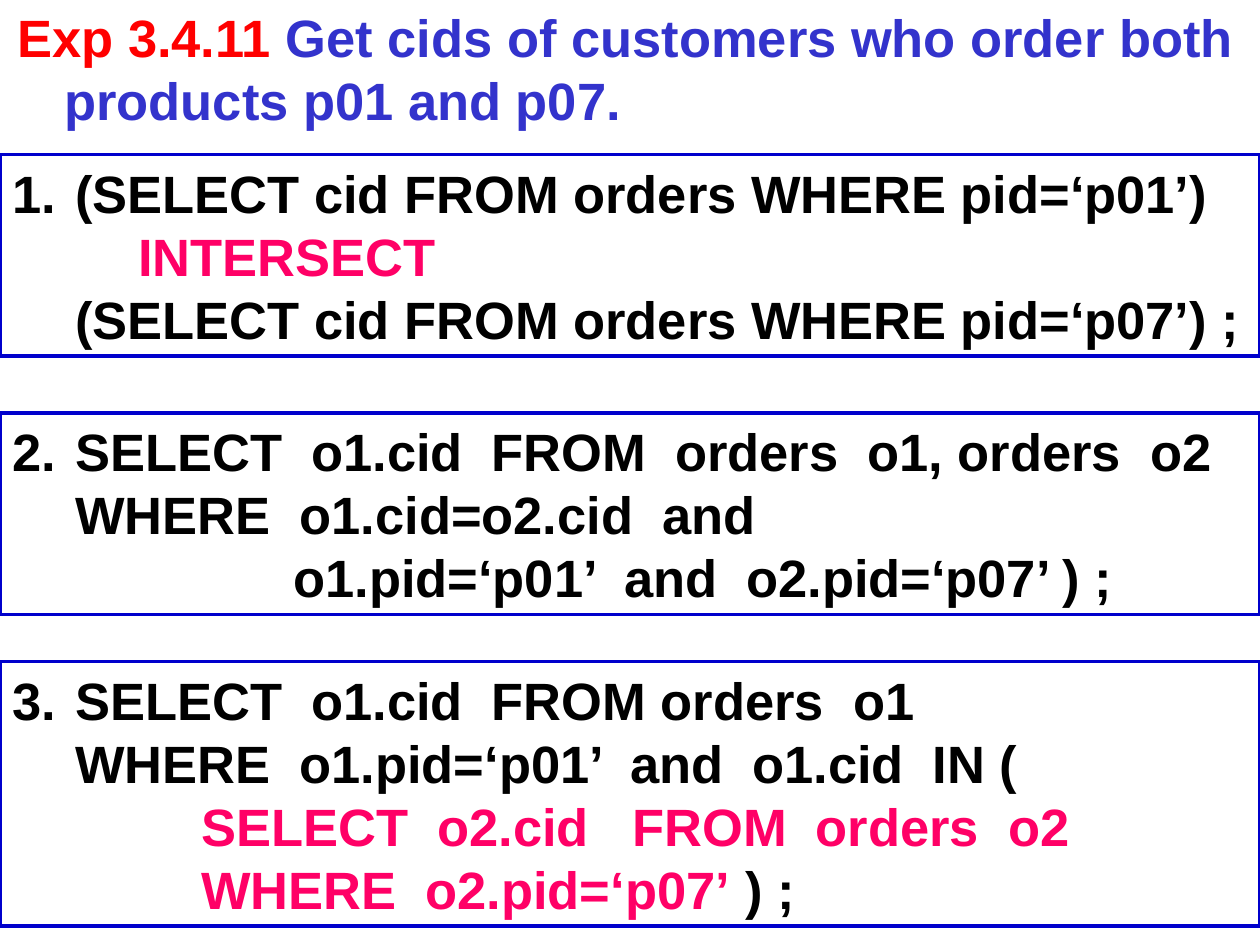
import pptx
import pptx.util
import pptx.dml.color
import pptx.enum.shapes
import pptx.enum.text
import pptx.oxml.ns
from dataclasses import dataclass
from lxml import etree
from pptx.util import Cm


@dataclass
class Theme:
    font: str = "Arial"
    size: float = 30
    pitch: float = 36
    border: float = 2
    label: str = "FF0000"
    question: str = "3333CC"
    code: str = "000000"
    accent: str = "FF0066"
    frame: str = "0000CC"
    paper: str = "FFFFFF"


STEP = 1.27  # one indent level, and also one line of text
PADDING = 0.25  # top and bottom insets together


def rgb(value):
    return pptx.dml.color.RGBColor.from_string(value)


class Slide:
    def __init__(self, page, theme):
        self.page = page
        self.theme = theme

    def fill_para(self, para, spans, margin, hanging=0.0, number=None):
        """Write (text, colour) spans, with a hanging number if given."""
        props = para._p.get_or_add_pPr()
        props.set("marL", str(Cm(margin)))
        props.set("indent", str(-Cm(hanging)))
        para.alignment = pptx.enum.text.PP_ALIGN.LEFT
        para.line_spacing = pptx.util.Pt(self.theme.pitch)
        if number:
            qn = pptx.oxml.ns.qn
            colour = etree.SubElement(props, qn("a:buClr"))
            etree.SubElement(colour, qn("a:srgbClr"), val=self.theme.code)
            etree.SubElement(props, qn("a:buFont"), typeface="+mj-lt")
            etree.SubElement(props, qn("a:buAutoNum"),
                             type="arabicPeriod", startAt=str(number))
        for text, colour in spans:
            span = para.add_run()
            span.text = text
            span.font.name = self.theme.font
            span.font.size = pptx.util.Pt(self.theme.size)
            span.font.bold = True
            span.font.color.rgb = rgb(colour)

    def heading(self, left, top, width, height, spans):
        box = self.page.shapes.add_textbox(Cm(left), Cm(top), Cm(width), Cm(height))
        box.text_frame.word_wrap = True
        self.fill_para(box.text_frame.paragraphs[0], spans, 0.95, 0.95)

    def query(self, number, top, lines):
        """A framed, numbered query; each line is (indent level, spans)."""
        box = self.page.shapes.add_shape(
            pptx.enum.shapes.MSO_SHAPE.RECTANGLE,
            Cm(0), Cm(top), Cm(25.4), Cm(len(lines) * STEP + PADDING))
        box.shadow.inherit = False
        box.fill.solid()
        box.fill.fore_color.rgb = rgb(self.theme.paper)
        box.line.color.rgb = rgb(self.theme.frame)
        box.line.width = pptx.util.Pt(self.theme.border)
        frame = box.text_frame
        frame.word_wrap = True
        frame.vertical_anchor = pptx.enum.text.MSO_ANCHOR.TOP
        for index, (level, spans) in enumerate(lines):
            if index == 0:
                self.fill_para(frame.paragraphs[0], spans, STEP, STEP, number)
            else:
                self.fill_para(frame.add_paragraph(), spans, level * STEP)


def main():
    deck = pptx.Presentation()
    deck.slide_width, deck.slide_height = Cm(25.4), Cm(19.05)
    theme = Theme()
    slide = Slide(deck.slides.add_slide(deck.slide_layouts[6]), theme)
    code, accent = theme.code, theme.accent

    # Question
    slide.heading(0.1, -0.03, 25.2, 14.58, [
        ("Exp 3.4.11 ", theme.label),
        ("Get cids of customers who order both products p01 and p07.",
         theme.question),
    ])

    # Answer 1: set intersection
    slide.query(1, 3.12, [
        (1, [("(SELECT cid FROM orders WHERE pid=‘p01’)", code)]),
        (2, [("INTERSECT", accent)]),
        (1, [("(SELECT cid FROM orders WHERE pid=‘p07’) ;", code)]),
    ])

    # Answer 2: self join
    slide.query(2, 8.33, [
        (1, [("SELECT  o1.cid  FROM  orders  o1, orders  o2", code)]),
        (1, [("WHERE  o1.cid=o2.cid  and", code)]),
        (4, [("  o1.pid=‘p01’  and  o2.pid=‘p07’ ) ;", code)]),
    ])

    # Answer 3: subquery
    slide.query(3, 13.34, [
        (1, [("SELECT  o1.cid  FROM orders  o1", code)]),
        (1, [("WHERE  o1.pid=‘p01’  and  o1.cid  IN (", code)]),
        (3, [("SELECT  o2.cid   FROM  orders  o2", accent)]),
        (3, [("WHERE  o2.pid=‘p07’", accent), (" ) ;", code)]),
    ])

    deck.save("out.pptx")


if __name__ == "__main__":
    main()
